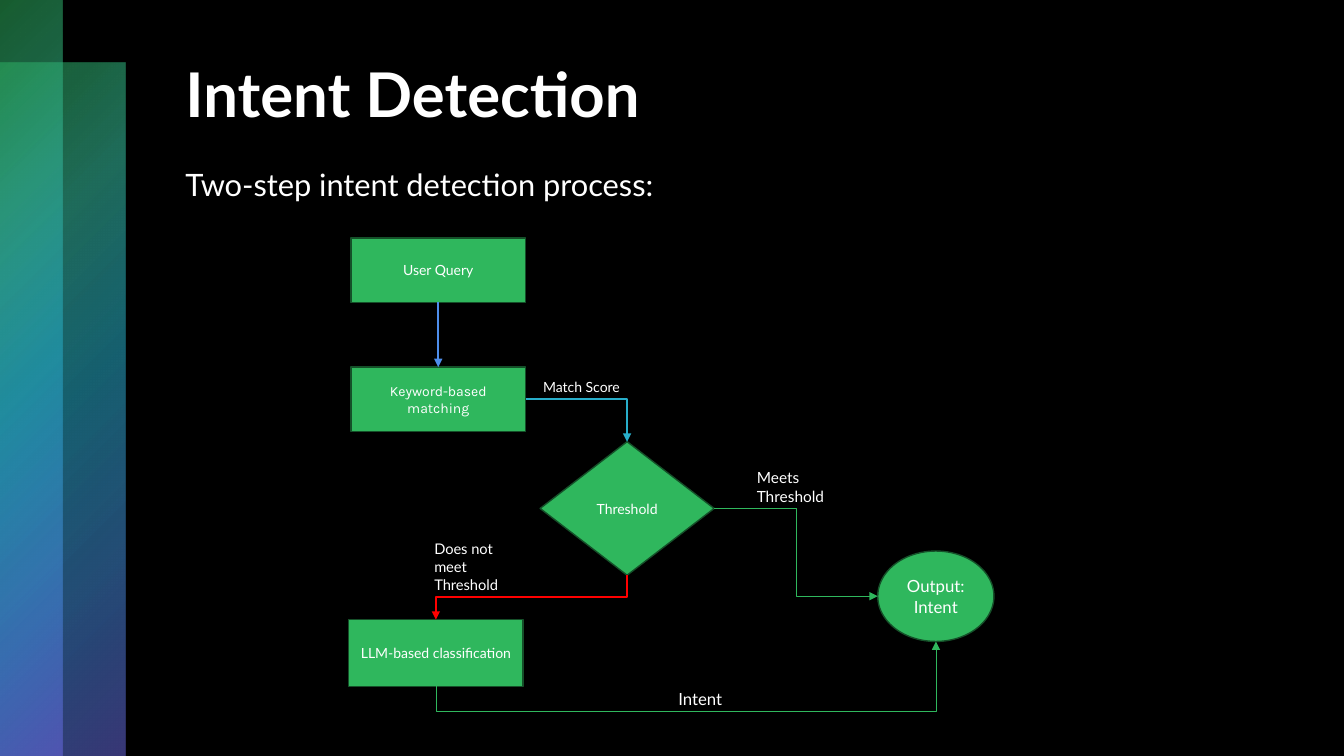
from dataclasses import dataclass
from typing import Optional

from lxml.etree import SubElement
from pptx import Presentation
from pptx.dml.color import RGBColor
from pptx.enum.shapes import MSO_CONNECTOR as Connector, MSO_SHAPE as Shape
from pptx.enum.text import MSO_ANCHOR as Anchor, MSO_AUTO_SIZE as AutoSize, PP_ALIGN as Align
from pptx.oxml.ns import qn
from pptx.util import Pt

TOP, LEFT, BOTTOM, RIGHT = range(4)


@dataclass(frozen=True)
class Theme:
    background: str = "000000"
    text: str = "FFFFFF"
    green: str = "2FB75D"
    outline: str = "155029"
    blue: str = "4E8EEB"
    cyan: str = "28AECA"
    red: str = "FF0000"
    font: str = "Lato"
    node_font: str = "Karla"
    title: float = 44
    subtitle: float = 22
    large: float = 12
    medium: float = 11
    caption: float = 10.5
    small: float = 10
    gradient: tuple = (
        (0, "2FB75D", 50), (25, "34B394", 60), (50, "28AECA", 55),
        (81, "4E8EEB", 50), (99, "6F6EEE", 50),
    )


THEME = Theme()


@dataclass(frozen=True)
class Box:
    left: float
    top: float
    width: float
    height: float

    def lengths(self) -> tuple:
        return Pt(self.left), Pt(self.top), Pt(self.width), Pt(self.height)


@dataclass(frozen=True)
class Node:
    name: str
    text: str
    box: Box
    shape: Shape = Shape.RECTANGLE
    size: float = THEME.small
    font: str = THEME.font


@dataclass(frozen=True)
class Label:
    text: str
    box: Box
    size: float
    wrap: bool = True


@dataclass(frozen=True)
class Link:
    start: str
    start_side: int
    end: str
    end_side: int
    color: str
    width: float
    preset: Optional[str] = None
    bend: Optional[float] = None


BARS = (Box(0, 44.8, 89.5, 495.2), Box(0, 0, 44.8, 540))

NODES = (
    Node("query", "User Query", Box(250.7, 170, 124.7, 46)),
    Node("keyword", "Keyword-based matching", Box(250.7, 262.2, 124.7, 46), font=THEME.node_font),
    Node("model", "LLM-based classification", Box(249, 442.6, 124.7, 47.6)),
    Node("threshold", "Threshold", Box(385.8, 315.5, 124.3, 95.4), Shape.DIAMOND),
    Node("output", "Output: Intent", Box(627, 393.6, 83, 64.6), Shape.OVAL, THEME.large),
)

LINKS = (
    Link("query", BOTTOM, "keyword", TOP, THEME.blue, 1.5),
    Link("keyword", RIGHT, "threshold", TOP, THEME.cyan, 1.5, "bentConnector2"),
    Link("threshold", BOTTOM, "model", TOP, THEME.red, 1.5, "bentConnector3", 0.5),
    Link("threshold", RIGHT, "output", LEFT, THEME.green, 0.5, "bentConnector3", 0.5),
    Link("model", BOTTOM, "output", BOTTOM, THEME.green, 0.5, "bentConnector3", -0.56),
)

LABELS = (
    Label("Match Score", Box(380.9, 267.1, 90, 19.4), THEME.small),
    Label("Meets Threshold", Box(533.5, 331.2, 77, 33.8), THEME.medium),
    Label("Does not meet Threshold", Box(303.1, 382.3, 71.3, 45.4), THEME.caption),
    Label("Intent", Box(477.4, 488.2, 46.8, 21.6), THEME.large, wrap=False),
)


def rgb(color: str) -> RGBColor:
    return RGBColor.from_string(color)


def write(frame, text: str, size: float, font: str = THEME.font, bold: bool = False):
    paragraph = frame.paragraphs[0]
    run = paragraph.add_run()
    run.text = text
    run.font.name = font
    run.font.size = Pt(size)
    run.font.bold = bold
    run.font.color.rgb = rgb(THEME.text)
    return paragraph


def draw_title(slide, text: str) -> None:
    title = slide.shapes.title
    title.left, title.top, title.width, title.height = Box(125.3, 36, 746.6, 122.4).lengths()
    title.text_frame.auto_size = AutoSize.NONE
    title.text_frame.vertical_anchor = Anchor.TOP
    write(title.text_frame, text, THEME.title, bold=True).alignment = Align.LEFT


def draw_bar(slide, box: Box) -> None:
    bar = slide.shapes.add_shape(Shape.RECTANGLE, *box.lengths())
    bar.shadow.inherit = False
    bar.line.fill.background()
    bar.fill.gradient()
    gradient = bar._element.spPr.find(qn("a:gradFill"))
    for child in list(gradient):
        gradient.remove(child)
    stops = SubElement(gradient, qn("a:gsLst"))
    for position, color, opacity in THEME.gradient:
        stop = SubElement(stops, qn("a:gs"), pos=str(position * 1000))
        stop_color = SubElement(stop, qn("a:srgbClr"), val=color)
        SubElement(stop_color, qn("a:alpha"), val=str(opacity * 1000))
    circle = SubElement(gradient, qn("a:path"), path="circle")
    SubElement(circle, qn("a:fillToRect"), r="100000", b="100000")


def draw_node(slide, node: Node):
    shape = slide.shapes.add_shape(node.shape, *node.box.lengths())
    shape.shadow.inherit = False
    shape.fill.solid()
    shape.fill.fore_color.rgb = rgb(THEME.green)
    shape.line.color.rgb = rgb(THEME.outline)
    shape.line.width = Pt(1)
    shape.text_frame.word_wrap = True
    shape.text_frame.vertical_anchor = Anchor.MIDDLE
    write(shape.text_frame, node.text, node.size, node.font).alignment = Align.CENTER
    return shape


def draw_label(slide, label: Label):
    text_box = slide.shapes.add_textbox(*label.box.lengths())
    text_box.text_frame.word_wrap = label.wrap
    return write(text_box.text_frame, label.text, label.size)


def bend_connector(connector, link: Link) -> None:
    start_x, start_y = connector.begin_x, connector.begin_y
    across, down = connector.end_x - start_x, connector.end_y - start_y
    vertical = link.start_side in (TOP, BOTTOM)
    width, height = (abs(down), abs(across)) if vertical else (abs(across), abs(down))
    flips = (down < 0, across > 0) if vertical else (across < 0, down < 0)
    connector.left = int(start_x + (across - width) / 2)
    connector.top = int(start_y + (down - height) / 2)
    connector.width, connector.height = width, height
    transform = connector._element.spPr.find(qn("a:xfrm"))
    transform.set("rot", "5400000" if vertical else "0")
    for name, flipped in zip(("flipH", "flipV"), flips):
        transform.set(name, str(int(flipped)))
    geometry = connector._element.spPr.find(qn("a:prstGeom"))
    geometry.set("prst", link.preset)
    if link.bend is not None:
        adjustments = geometry.find(qn("a:avLst"))
        SubElement(adjustments, qn("a:gd"), name="adj1", fmla=f"val {round(link.bend * 100000)}")


def draw_link(slide, link: Link, shapes: dict) -> None:
    kind = Connector.ELBOW if link.preset else Connector.STRAIGHT
    connector = slide.shapes.add_connector(kind, 0, 0, 0, 0)
    connector.begin_connect(shapes[link.start], link.start_side)
    connector.end_connect(shapes[link.end], link.end_side)
    if shapes[link.end].auto_shape_type == Shape.OVAL:
        connection = next(connector._element.iter(qn("a:endCxn")))
        connection.set("idx", str(link.end_side * 2))
    if link.preset:
        bend_connector(connector, link)
    connector.line.color.rgb = rgb(link.color)
    connector.line.width = Pt(link.width)
    properties = connector._element.spPr
    SubElement(properties.find(qn("a:ln")), qn("a:tailEnd"), type="triangle")
    SubElement(properties, qn("a:effectLst"))


def main() -> None:
    presentation = Presentation()
    presentation.slide_width, presentation.slide_height = Pt(960), Pt(540)
    slide = presentation.slides.add_slide(presentation.slide_layouts[5])
    slide.background.fill.solid()
    slide.background.fill.fore_color.rgb = rgb(THEME.background)
    for bar in BARS:
        draw_bar(slide, bar)
    draw_title(slide, "Intent Detection")
    subtitle = Label("Two-step intent detection process:", Box(125.3, 112.3, 716.4, 47.5), THEME.subtitle)
    paragraph = draw_label(slide, subtitle)
    paragraph.line_spacing = 1.1
    paragraph.space_before = Pt(12)
    shapes = {node.name: draw_node(slide, node) for node in NODES}
    for link in LINKS:
        draw_link(slide, link, shapes)
    for label in LABELS:
        draw_label(slide, label)
    presentation.save("out.pptx")


if __name__ == "__main__":
    main()
